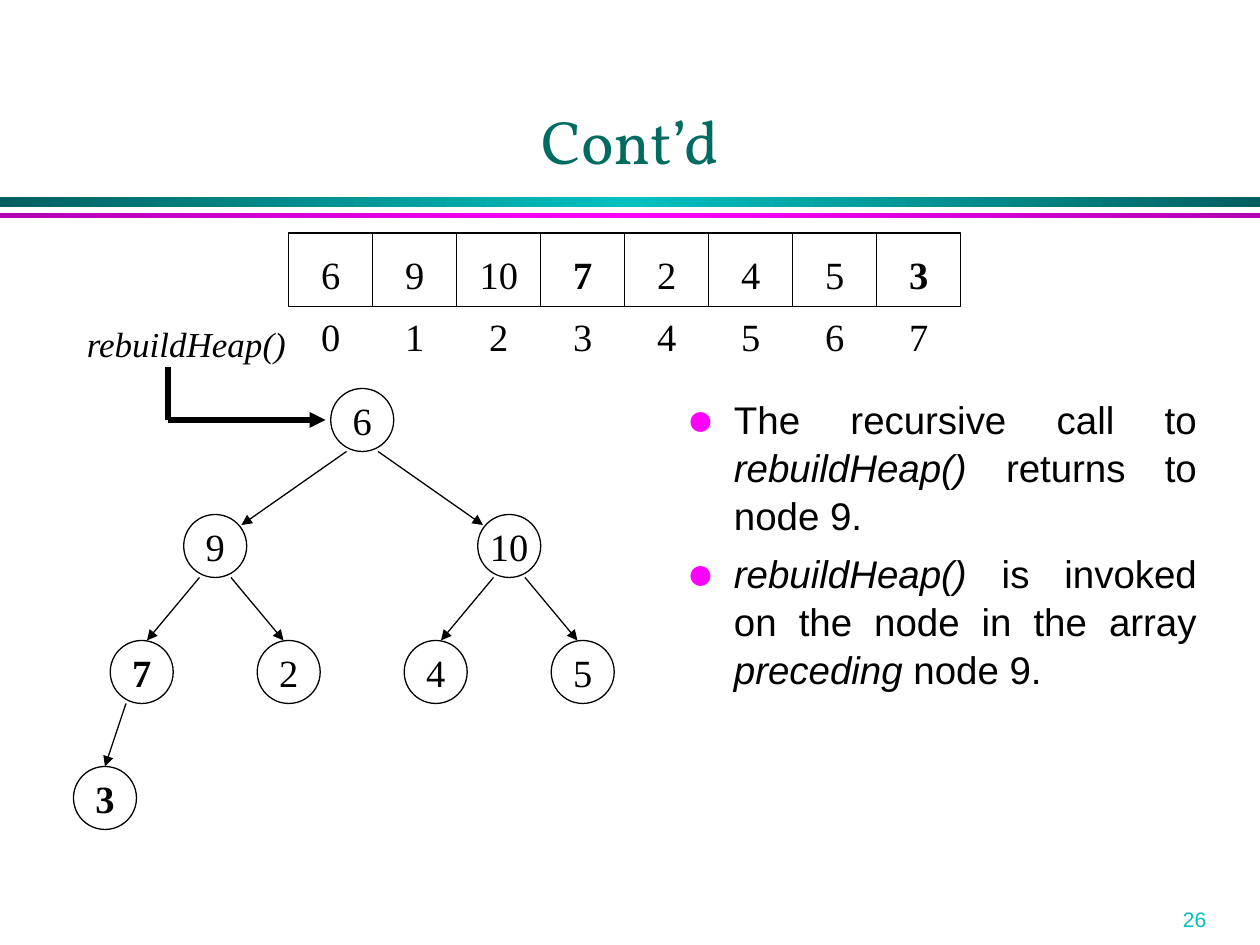
from copy import deepcopy
from dataclasses import dataclass

from pptx import Presentation
from pptx.dml.color import RGBColor
from pptx.enum.shapes import MSO_CONNECTOR, MSO_SHAPE
from pptx.enum.text import MSO_ANCHOR, MSO_AUTO_SIZE, PP_ALIGN
from pptx.oxml.ns import qn
from pptx.util import Pt


@dataclass(frozen=True)
class Theme:
    """Colours, fonts and type sizes of the slide."""
    ink: str = "000000"
    title: str = "006B61"
    number: str = "00C0C0"
    bullet: str = "FF00FF"
    teal: tuple = ("006060", "00C0C0", "006060")
    magenta: tuple = ("B200B2", "FF00FF", "B200B2")
    title_font: str = "Vollkorn"
    body_font: str = "Arial"
    figure_font: str = "Times New Roman"
    title_size: float = 35
    body_size: float = 22
    call_size: float = 20
    number_size: float = 12
    thin: float = 0.75
    thick: float = 3


@dataclass(frozen=True)
class Box:
    """A rectangle in points."""
    left: float
    top: float
    width: float
    height: float

    def emu(self):
        """Return the four lengths for python-pptx."""
        return [Pt(v) for v in (self.left, self.top, self.width, self.height)]


THEME = Theme()
HEAP = (6, 9, 10, 7, 2, 4, 5, 3)
BOLD_INDEXES = (3, 7)
POINTS = (
    (("The recursive call to", False), (" rebuildHeap() ", True),
     ("returns to node 9.", False)),
    (("rebuildHeap()", True), (" is invoked on the node in the array ", False),
     ("preceding", True), (" node 9.", False)),
)


def add_run(paragraph, text, font, size, color=THEME.ink, bold=False, italic=False):
    """Append one formatted run."""
    run = paragraph.add_run()
    run.text = text
    run.font.name, run.font.size = font, Pt(size)
    run.font.bold, run.font.italic = bold, italic
    run.font.color.rgb = RGBColor.from_string(color)


def add_label(slide, box, text, font, size, align=PP_ALIGN.LEFT, **style):
    """Add a one-line text box."""
    frame = slide.shapes.add_textbox(*box.emu()).text_frame
    frame.word_wrap = False
    frame.vertical_anchor = MSO_ANCHOR.MIDDLE
    frame.paragraphs[0].alignment = align
    add_run(frame.paragraphs[0], text, font, size, **style)


def add_value(slide, preset, box, index, drop=0):
    """Add an outlined shape holding one heap value."""
    shape = slide.shapes.add_shape(preset, *box.emu())
    shape.shadow.inherit = False
    shape.fill.background()
    shape.line.color.rgb = RGBColor.from_string(THEME.ink)
    shape.line.width = Pt(THEME.thin)
    frame = shape.text_frame
    frame.word_wrap = False
    frame.margin_left = frame.margin_right = frame.margin_bottom = 0
    frame.margin_top = Pt(drop)
    frame.vertical_anchor = MSO_ANCHOR.MIDDLE
    frame.paragraphs[0].alignment = PP_ALIGN.CENTER
    add_run(frame.paragraphs[0], str(HEAP[index]), THEME.figure_font,
            THEME.body_size, bold=index in BOLD_INDEXES)


def add_line(slide, start, end, width, arrow=True):
    """Add a straight line, with an arrowhead at its end if asked."""
    line = slide.shapes.add_connector(
        MSO_CONNECTOR.STRAIGHT, *(Pt(v) for v in (*start, *end)))
    line.line.color.rgb = RGBColor.from_string(THEME.ink)
    line.line.width = Pt(width)
    properties = line.element.spPr
    if arrow:
        head = properties.find(qn("a:ln")).makeelement(qn("a:tailEnd"), {"type": "triangle"})
        properties.find(qn("a:ln")).append(head)
    properties.append(properties.makeelement(qn("a:effectLst"), {}))


def add_rule(slide, box, colors):
    """Add a bar with a three-stop horizontal gradient."""
    bar = slide.shapes.add_shape(MSO_SHAPE.RECTANGLE, *box.emu())
    bar.shadow.inherit = False
    bar.line.fill.background()
    bar.fill.gradient()
    bar.fill.gradient_angle = 0
    stops = bar.element.spPr.find(qn("a:gradFill")).find(qn("a:gsLst"))
    stops.insert(1, deepcopy(stops[0]))
    for stop, position, color in zip(bar.fill.gradient_stops, (0, 0.5, 1), colors):
        stop.position = position
        stop.color.rgb = RGBColor.from_string(color)


def add_heading(slide, box):
    """Place the title and the two rules below it."""
    title = slide.shapes.title
    title.left, title.top, title.width, title.height = Box(
        box.left + 54, box.top, box.width - 108, 54).emu()
    frame = title.text_frame
    frame.auto_size = MSO_AUTO_SIZE.NONE
    frame.vertical_anchor = MSO_ANCHOR.BOTTOM
    frame.paragraphs[0].alignment = PP_ALIGN.CENTER
    add_run(frame.paragraphs[0], "Cont’d", THEME.title_font, THEME.title_size, THEME.title)
    add_rule(slide, Box(box.left, box.top + 62.2, box.width, 5.8), THEME.teal)
    add_rule(slide, Box(box.left, box.top + 71.3, box.width, 2.9), THEME.magenta)


def add_array(slide, box):
    """Draw the heap array with its indexes below."""
    step = box.width / len(HEAP)
    cell_height = 42
    for index in range(len(HEAP)):
        left = box.left + index * step
        add_value(slide, MSO_SHAPE.RECTANGLE,
                  Box(left, box.top, step, cell_height), index, drop=5)
        add_label(slide, Box(left, box.top + cell_height, step, box.height - cell_height),
                  str(index), THEME.figure_font, THEME.body_size, PP_ALIGN.CENTER)


def add_tree(slide, box):
    """Draw the heap as a binary tree, centred on its root."""
    diameter, level_step, departure = 36, 72, 9
    arrivals = {1: (15, 6), 2: (3, 0), 3: (0, 0)}

    def locate(index):
        """Return the level, centre and top of a node."""
        level = (index + 1).bit_length() - 1
        slot = index + 1 - 2 ** level
        center = box.left + box.width / 2 + (slot - (2 ** level - 1) / 2) * 336 / 2 ** level
        return level, center, box.top + level * level_step

    for index in range(len(HEAP)):
        level, center, top = locate(index)
        add_value(slide, MSO_SHAPE.OVAL,
                  Box(center - diameter / 2, top, diameter, diameter), index)
        if index:
            parent_center, parent_top = locate((index - 1) // 2)[1:]
            side = -1 if index % 2 else 1
            inset, drop = arrivals[level]
            add_line(slide, (parent_center + side * departure, parent_top + diameter),
                     (center - side * inset, top + drop), THEME.thin)


def add_call(slide, box):
    """Place the call label and its bent arrow to the root."""
    add_label(slide, Box(box.left, box.top, box.width, 32), "rebuildHeap()",
              THEME.figure_font, THEME.call_size, italic=True)
    corner = (box.left + 53.5, box.top + box.height)
    add_line(slide, (corner[0], box.top + 30), corner, THEME.thick, arrow=False)
    add_line(slide, corner, (box.left + 143.5, corner[1]), THEME.thick)


def add_bullet(paragraph):
    """Give a paragraph a hanging round bullet."""
    properties = paragraph._p.get_or_add_pPr()
    properties.set("marL", str(Pt(27)))
    properties.set("indent", str(-Pt(27)))
    color = properties.makeelement(qn("a:buClr"), {})
    color.append(color.makeelement(qn("a:srgbClr"), {"val": THEME.bullet}))
    properties.append(color)
    for tag, attributes in (("a:buSzPct", {"val": "120000"}),
                            ("a:buFont", {"typeface": THEME.body_font}),
                            ("a:buChar", {"char": "●"})):
        properties.append(properties.makeelement(qn(tag), attributes))


def add_points(slide, box):
    """Fill the body placeholder with the explanation."""
    body = slide.placeholders[1]
    body.left, body.top, body.width, body.height = box.emu()
    frame = body.text_frame
    frame.auto_size = MSO_AUTO_SIZE.NONE
    for number, point in enumerate(POINTS):
        paragraph = frame.add_paragraph() if number else frame.paragraphs[0]
        add_bullet(paragraph)
        paragraph.alignment = PP_ALIGN.JUSTIFY
        paragraph.line_spacing = 1.04
        paragraph.space_before = Pt(5.5 if number else 0)
        for text, italic in point:
            add_run(paragraph, text, THEME.body_font, THEME.body_size, italic=italic)


def main():
    """Build the slide and save it."""
    deck = Presentation()
    deck.slide_width, deck.slide_height = Pt(720), Pt(540)
    slide = deck.slides.add_slide(deck.slide_layouts[1])
    add_heading(slide, Box(0, 50.4, 720, 75))
    add_points(slide, Box(385.2, 221.8, 306, 282.2))
    add_tree(slide, Box(42, 222, 330, 252))
    add_array(slide, Box(165, 133.2, 384, 76))
    add_call(slide, Box(42.5, 180, 129, 60))
    add_label(slide, Box(668.9, 514, 69, 22), "26", THEME.body_font,
              THEME.number_size, color=THEME.number)
    deck.save("out.pptx")


if __name__ == "__main__":
    main()
